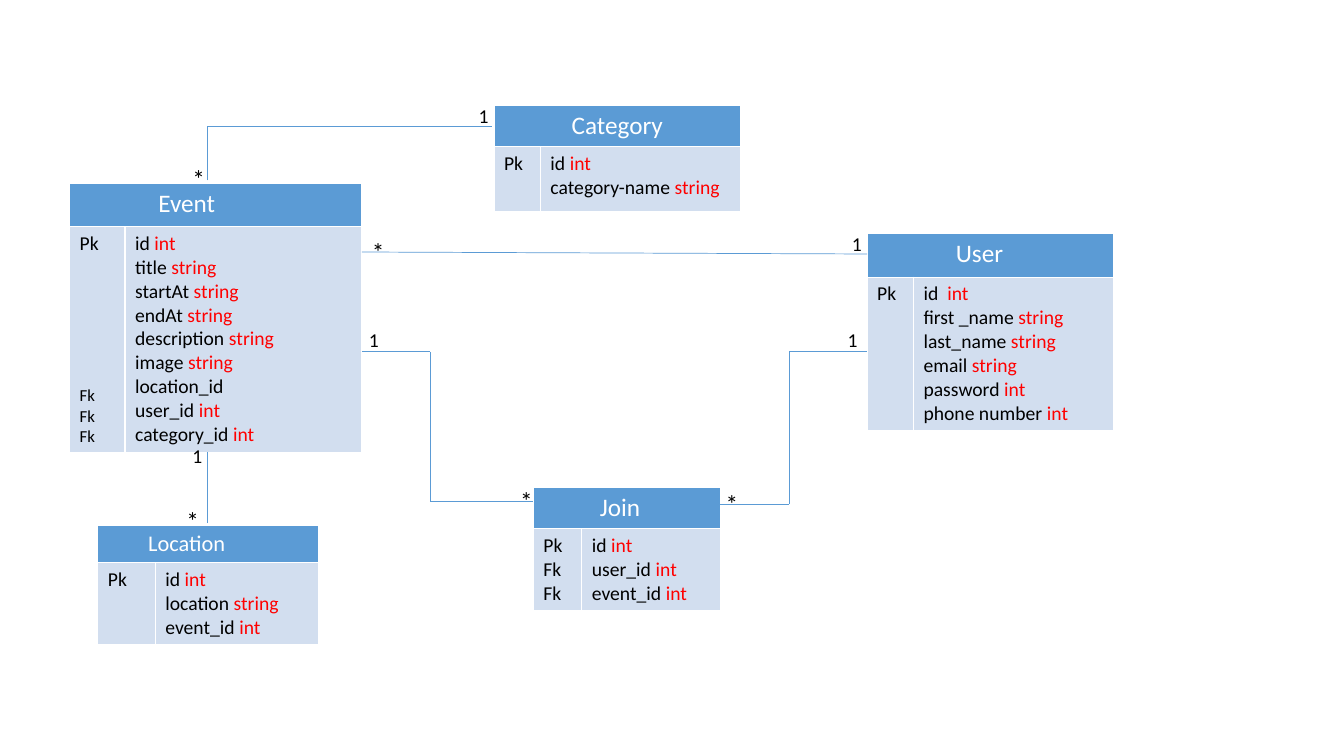
from itertools import pairwise

from pptx import Presentation
from pptx import util as u
from pptx.dml.color import RGBColor
from pptx.enum import shapes, text
from pptx.oxml.ns import qn
from lxml import etree

COLORS = {"header": "5B9BD5", "body": "D2DEEF", "line": "5B9BD5",
          "title": "FFFFFF", "name": "000000", "type": "FF0000"}
TYPES = ("int", "string")

# title, title size, title indent, left, top, column widths, row heights, keys, fields
ENTITIES = [
    ("Event", 18, 0.88, 0.69, 1.82, (0.55, 2.35), (0.43, 2.24), ["Pk", "Fk", "Fk", "Fk"],
     ["id int", "title string", "startAt string", "endAt string", "description string",
      "image string", "location_id", "user_id int", "category_id int"]),
    ("User", 18, 0.88, 8.6, 2.32, (0.46, 1.99), (0.43, 1.52), ["Pk"],
     ["id  int", "first _name string", "last_name string", "email string",
      "password int", "phone number int"]),
    ("Join", 18, 0.66, 5.29, 4.84, (0.48, 1.38), (0.4, 0.81), ["Pk", "Fk", "Fk"],
     ["id int", "user_id int", "event_id int"]),
    ("Category", 18, 0.77, 4.9, 1.05, (0.46, 1.99), (0.4, 0.64), ["Pk"],
     ["id int", "category-name string"]),
    ("Location", 16, 0.5, 0.97, 5.21, (0.57, 1.62), (0.37, 0.8), ["Pk"],
     ["id int", "location string", "event_id int"]),
]

# corner points of each relation
RELATIONS = [
    [(7.1, 5), (7.83, 5), (7.83, 3.49), (8.6, 3.49)],
    [(3.59, 3.49), (4.27, 3.49), (4.27, 4.97), (5.29, 4.97)],
    [(2.06, 1.79), (2.06, 1.25), (4.88, 1.25)],
    [(8.6, 2.52), (3.59, 2.5)],
    [(2.06, 5.19), (2.06, 4.48)],
]

MULTIPLICITIES = {
    "*": [(7.1, 4.8), (5.06, 4.77), (1.81, 1.57), (3.59, 2.3), (1.75, 4.96)],
    "1": [(4.65, 0.98), (8.31, 3.2), (3.56, 3.2), (8.35, 2.25), (1.81, 4.36)],
}
LABEL_SIZES = {"*": (18, 0.4), "1": (14, 0.34)}


def color(name):
    return RGBColor.from_string(COLORS[name])


def write_lines(frame, lines, size, default_color):
    """Write one paragraph per line, with a closing data type in its own colour."""
    for index, line in enumerate(lines):
        paragraph = frame.add_paragraph() if index else frame.paragraphs[0]
        paragraph.font.size = u.Pt(size)
        paragraph.font.name = "Calibri"
        paragraph.font.bold = False
        paragraph.font.color.rgb = color(default_color)
        name, space, kind = line.rpartition(" ")
        for part in (name + space, kind):
            if part:
                run = paragraph.add_run()
                run.text = part
                if part in TYPES:
                    run.font.color.rgb = color("type")


presentation = Presentation()
presentation.slide_width = u.Inches(13.33)
presentation.slide_height = u.Inches(7.5)
slide = presentation.slides.add_slide(presentation.slide_layouts[6])

for title, title_size, indent, left, top, widths, heights, keys, fields in ENTITIES:
    table = slide.shapes.add_table(2, 2, u.Inches(left), u.Inches(top),
                                   u.Inches(sum(widths)), u.Inches(sum(heights))).table
    for column, width in zip(table.columns, widths):
        column.width = u.Inches(width)
    for row, height, fill in zip(table.rows, heights, ("header", "body")):
        row.height = u.Inches(height)
        for cell in row.cells:
            cell.fill.solid()
            cell.fill.fore_color.rgb = color(fill)

    header = table.cell(0, 0)
    header.merge(table.cell(0, 1))
    header.margin_left = u.Inches(indent)
    write_lines(header.text_frame, [title], title_size, "title")
    key_frame = table.cell(1, 0).text_frame
    write_lines(key_frame, keys, 14, "name")
    write_lines(table.cell(1, 1).text_frame, fields, 14, "name")

    if title == "Event":  # foreign keys sit beside the last fields
        for paragraph in key_frame.paragraphs[1:]:
            paragraph.font.size = u.Pt(12)
        key_frame.paragraphs[1].space_before = u.Pt(93)

for corners in RELATIONS:
    for start, end in pairwise(corners):
        connector = slide.shapes.add_connector(
            shapes.MSO_CONNECTOR.STRAIGHT, *(u.Inches(value) for value in start + end))
        connector.line.color.rgb = color("line")
        connector.line.width = u.Pt(0.5)
        etree.SubElement(connector._element.spPr, qn("a:effectLst"))

for label, places in MULTIPLICITIES.items():
    size, height = LABEL_SIZES[label]
    for left, top in places:
        box = slide.shapes.add_textbox(u.Inches(left), u.Inches(top),
                                       u.Inches(1.07), u.Inches(height))
        box.text_frame.word_wrap = True
        box.text_frame.auto_size = text.MSO_AUTO_SIZE.SHAPE_TO_FIT_TEXT
        write_lines(box.text_frame, [label], size, "name")

presentation.save("out.pptx")
